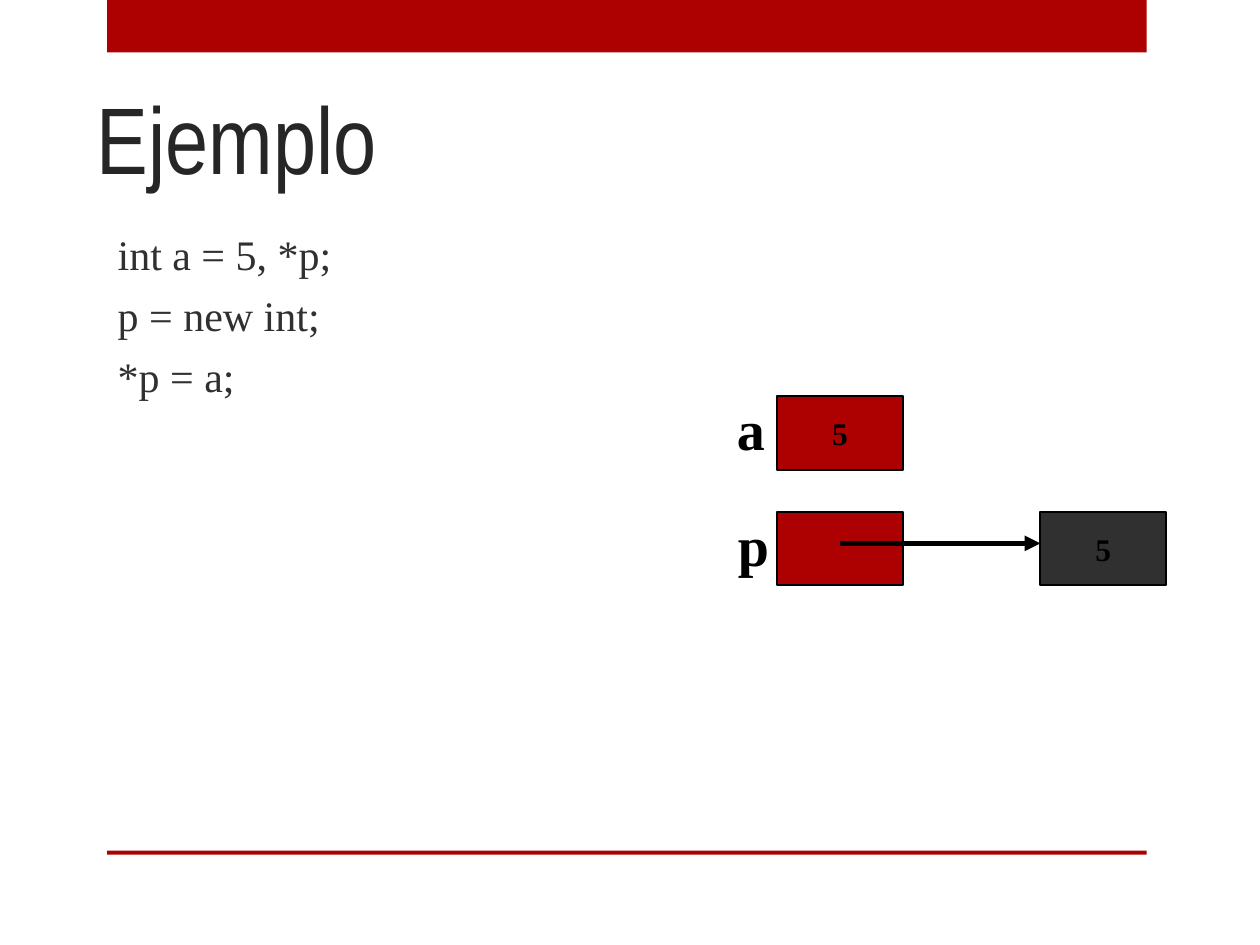
from lxml import etree
from pptx import Presentation
from pptx.dml.color import RGBColor
from pptx.enum import shapes as sh, text as tx
from pptx.oxml.ns import qn
from pptx.util import Pt

RED, DARK, BLACK = "AD0101", "303030", "000000"
SERIF = "Times New Roman"
TITLE = "Ejemplo"
CODE = ["int a = 5, *p;", "p = new int;", "*p = a;"]
BARS = [(0, 30), (486, 2.4)]
CELL_W, CELL_H = 72, 42
COLS = (444, 594.5)
ROWS = (226.5, 292.5)
CELLS = [(0, 0, RED, "5"), (0, 1, RED, ""), (1, 1, DARK, "5")]
NAMES = [("a", 414, 30), ("p", 414.5, 32.5)]


def color(code):
    """Turn a hex string into a colour."""
    return RGBColor.from_string(code)


def place(shape, x, y, w, h):
    """Set the place and size of a shape in points."""
    shape.left, shape.top, shape.width, shape.height = map(Pt, (x, y, w, h))


def write(shape, *lines, size=18, font=SERIF, ink=BLACK, bold=False,
          align=tx.PP_ALIGN.LEFT, anchor=tx.MSO_ANCHOR.TOP, wrap=True, after=0):
    """Fill a shape with formatted lines of text."""
    frame = shape.text_frame
    frame.auto_size = tx.MSO_AUTO_SIZE.NONE
    frame.word_wrap = wrap
    frame.vertical_anchor = anchor
    frame.text = "\n".join(lines)
    for par in frame.paragraphs:
        par.alignment = align
        par.space_before, par.space_after = Pt(0), Pt(after)
        style = par.runs[0].font
        style.size, style.name, style.bold = Pt(size), font, bold
        style.color.rgb = color(ink)
    return frame


def box(x, y, w, h, fill, line=None):
    """Draw a filled rectangle with an optional outline."""
    rect = slide.shapes.add_shape(sh.MSO_SHAPE.RECTANGLE, *map(Pt, (x, y, w, h)))
    rect.shadow.inherit = False
    rect.fill.solid()
    rect.fill.fore_color.rgb = color(fill)
    if line:
        rect.line.color.rgb = color(line)
        rect.line.width = Pt(1)
    else:
        rect.line.fill.background()
    return rect


def arrow(x, y, end, ink=BLACK, width=3):
    """Draw a level arrow from x to end."""
    link = slide.shapes.add_connector(
        sh.MSO_CONNECTOR.STRAIGHT, Pt(x), Pt(y), Pt(end), Pt(y))
    link.line.color.rgb = color(ink)
    link.line.width = Pt(width)
    etree.SubElement(link.line._get_or_add_ln(), qn("a:tailEnd"), type="triangle")
    etree.SubElement(link._element.spPr, qn("a:effectLst"))


deck = Presentation()
deck.slide_width, deck.slide_height = Pt(720), Pt(540)
slide = deck.slides.add_slide(deck.slide_layouts[1])

for y, h in BARS:
    box(61.2, y, 594, h, RED)

title, body = slide.placeholders
place(title, 48, 18, 612, 96)
write(title, TITLE, size=54, font="Arial Narrow", ink="262626",
      anchor=tx.MSO_ANCHOR.BOTTOM)

place(body, 60, 54, 594, 306)
frame = write(body, *CODE, size=24, ink=DARK, after=6)
frame.margin_top = Pt(76.5)
for par in frame.paragraphs:
    props = par._p.get_or_add_pPr()
    props.set("marL", "0")
    props.set("indent", "0")
    etree.SubElement(props, qn("a:buNone"))

for col, row, fill, value in CELLS:
    cell = box(COLS[col], ROWS[row], CELL_W, CELL_H, fill, BLACK)
    if value:
        write(cell, value, bold=True, align=tx.PP_ALIGN.CENTER,
              anchor=tx.MSO_ANCHOR.MIDDLE, wrap=False)

for (name, x, w), y in zip(NAMES, ROWS):
    label = slide.shapes.add_textbox(Pt(x), Pt(y - 4.5), Pt(w), Pt(45.5))
    write(label, name, size=32, bold=True, wrap=False)

arrow(COLS[0] + CELL_W / 2, ROWS[1] + 18, COLS[1])

deck.save("out.pptx")
